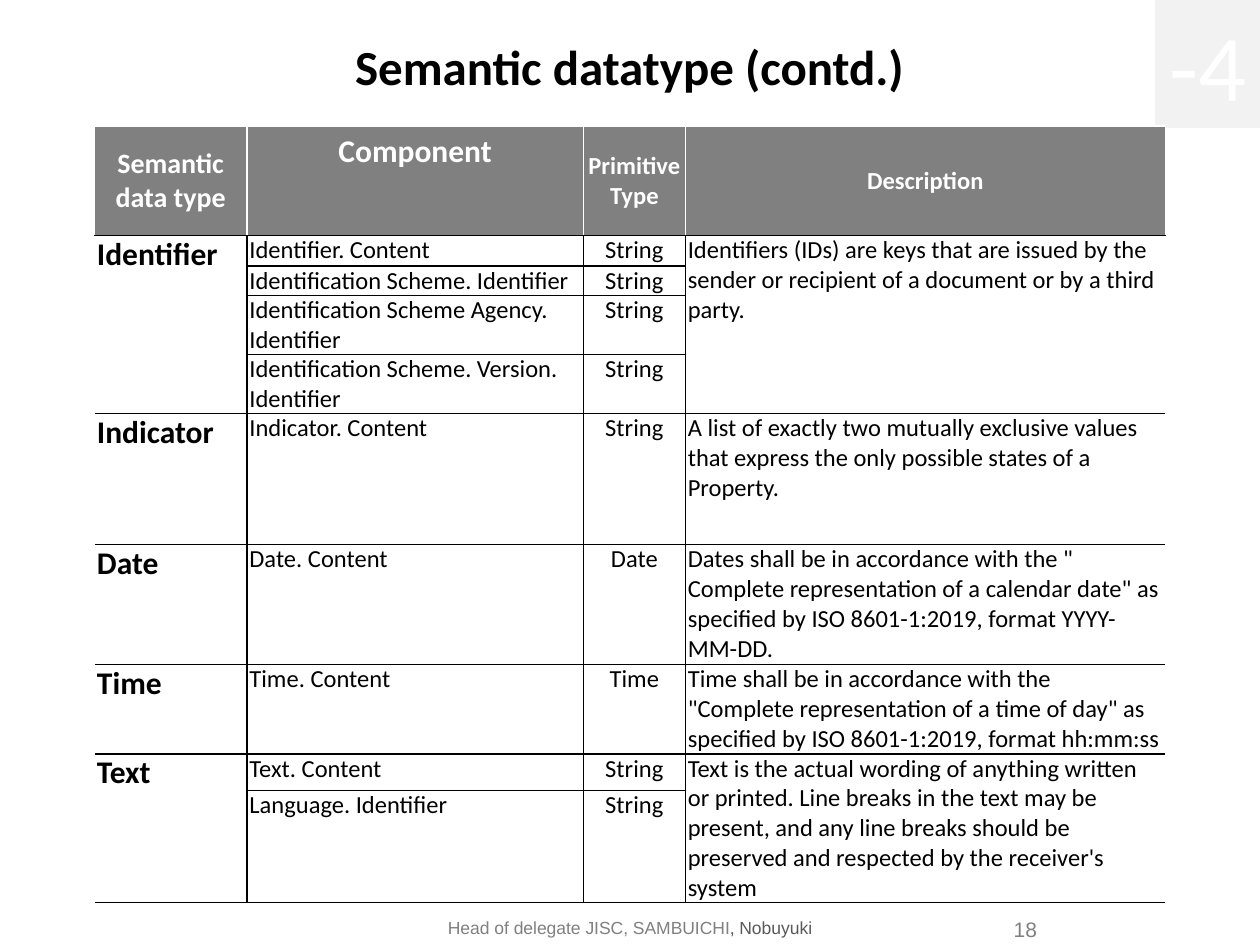
"""Build the slide listing semantic data types and their components."""
from lxml import etree
from pptx import Presentation
from pptx.dml.color import RGBColor
from pptx.enum import shapes, text
from pptx.oxml import ns
from pptx.util import Inches, Pt

BLACK = RGBColor(0, 0, 0)
WHITE = RGBColor(255, 255, 255)
GRAY = RGBColor(0x80, 0x80, 0x80)
DARK_GRAY = RGBColor(0x59, 0x59, 0x59)
PALE_GRAY = RGBColor(0xF2, 0xF2, 0xF2)
LEFT, CENTER, RIGHT = text.PP_ALIGN.LEFT, text.PP_ALIGN.CENTER, text.PP_ALIGN.RIGHT
TOP, MIDDLE, BOTTOM = (text.MSO_ANCHOR.TOP, text.MSO_ANCHOR.MIDDLE,
                       text.MSO_ANCHOR.BOTTOM)

HEADERS = [("Semantic data type", 16, MIDDLE), ("Component", 18, TOP),
           ("Primitive Type", 14, MIDDLE), ("Description", 14, MIDDLE)]
DATATYPES = [
    ("Identifier",
     [("Identifier. Content", "String"),
      ("Identification Scheme. Identifier", "String"),
      ("Identification Scheme Agency. Identifier", "String"),
      ("Identification Scheme. Version. Identifier", "String")],
     "Identifiers (IDs) are keys that are issued by the sender or recipient "
     "of a document or by a third party."),
    ("Indicator", [("Indicator. Content", "String")],
     "A list of exactly two mutually exclusive values that express the only "
     "possible states of a Property."),
    ("Date", [("Date. Content", "Date")],
     'Dates shall be in accordance with the " Complete representation of a '
     'calendar date" as specified by ISO 8601-1:2019, format YYYY-MM-DD.'),
    ("Time", [("Time. Content", "Time")],
     'Time shall be in accordance with the "Complete representation of a '
     'time of day" as specified by ISO 8601-1:2019, format hh:mm:ss'),
    ("Text", [("Text. Content", "String"), ("Language. Identifier", "String")],
     "Text is the actual wording of anything written or printed. Line breaks "
     "in the text may be present, and any line breaks should be preserved "
     "and respected by the receiver's system"),
]
COLUMN_WIDTHS = [1.21, 2.67, 0.81, 3.81]
ROW_HEIGHTS = [0.87, 0.24, 0.23, 0.47, 0.47, 1.04, 0.95, 0.71, 0.29, 0.89]


def add_span(para, words, size, color, font="Calibri", bold=False):
    span = para.add_run()
    span.text = words
    span.font.name, span.font.size, span.font.bold = font, Pt(size), bold
    span.font.color.rgb = color


def set_margins(target, left, top, right, bottom):
    target.margin_left, target.margin_top = Inches(left), Inches(top)
    target.margin_right, target.margin_bottom = Inches(right), Inches(bottom)


def set_frame(frame, align, anchor, margins):
    frame.word_wrap = True
    frame.vertical_anchor = anchor
    set_margins(frame, *margins)
    frame.paragraphs[0].alignment = align
    return frame.paragraphs[0]


def add_label(page, place, align, anchor, margins=(0, 0, 0, 0)):
    box = page.shapes.add_textbox(*map(Inches, place))
    return set_frame(box.text_frame, align, anchor, margins)


def set_borders(cell, colors):
    properties = cell._tc.get_or_add_tcPr()
    for side, color in zip("LRTB", colors):
        line = etree.SubElement(properties, ns.qn("a:ln" + side), w=str(Pt(1)))
        if color is None:
            etree.SubElement(line, ns.qn("a:noFill"))
        else:
            fill = etree.SubElement(line, ns.qn("a:solidFill"))
            etree.SubElement(fill, ns.qn("a:srgbClr"), val=str(color))


def style_cell(cell, borders, fill):
    set_borders(cell, borders)
    cell.fill.solid()
    cell.fill.fore_color.rgb = fill


def write_cell(cell, words, size, color, align=LEFT, anchor=TOP, bold=False,
               margins=(0.02, 0, 0.02, 0)):
    set_margins(cell, *margins)
    cell.vertical_anchor = anchor
    para = cell.text_frame.paragraphs[0]
    para.alignment = align
    add_span(para, words, size, color, bold=bold)


def add_datatype_table(page):
    table = page.shapes.add_table(
        len(ROW_HEIGHTS), len(COLUMN_WIDTHS), Inches(0.75), Inches(1),
        Inches(sum(COLUMN_WIDTHS)), Inches(sum(ROW_HEIGHTS))).table
    table.first_row = table.horz_banding = False
    for column, width in zip(table.columns, COLUMN_WIDTHS):
        column.width = Inches(width)
    for row, height in zip(table.rows, ROW_HEIGHTS):
        row.height = Inches(height)

    for index, (words, size, anchor) in enumerate(HEADERS):
        cell = table.cell(0, index)
        margins = (0.1, 0.05, 0.1, 0.05) if anchor == TOP else (0.01, 0, 0.01, 0)
        write_cell(cell, words, size, WHITE, CENTER, anchor, True, margins)
        style_cell(cell, (WHITE, WHITE, WHITE, BLACK), GRAY)

    first = 1
    last_column = len(COLUMN_WIDTHS) - 1
    for name, components, description in DATATYPES:
        last = first + len(components) - 1
        for row in range(first, last + 1):
            for column in range(last_column + 1):
                outer = column in (0, last_column)
                covered = outer and row > first
                style_cell(table.cell(row, column), (
                    BLACK if column > 0 else None,
                    BLACK if column < last_column else None,
                    None if covered else BLACK,
                    None if covered and row < last else BLACK), WHITE)
        for column in (0, last_column):
            if last > first:
                table.cell(first, column).merge(table.cell(last, column))
        write_cell(table.cell(first, 0), name, 18, BLACK, bold=True)
        write_cell(table.cell(first, last_column), description, 14, BLACK)
        for row, (component, primitive) in enumerate(components, first):
            write_cell(table.cell(row, 1), component, 14, BLACK)
            write_cell(table.cell(row, 2), primitive, 14, BLACK, CENTER)
        first = last + 1


def main():
    deck = Presentation()
    deck.slide_width, deck.slide_height = Inches(10), Inches(7.5)
    page = deck.slides.add_slide(deck.slide_layouts[6])

    number = add_label(page, (7.68, 7.19, 0.55, 0.31), RIGHT, TOP, (0.08, 0.08, 0, 0))
    add_span(number, "18", 12, GRAY, "Arial")
    footer = add_label(page, (2.6, 7.23, 4.8, 0.27), CENTER, MIDDLE)
    add_span(footer, "Head of delegate JISC, SAMBUICHI", 10, GRAY, "Arial")
    add_span(footer, ", Nobuyuki", 10, DARK_GRAY, "Arial")

    corner = page.shapes.add_shape(shapes.MSO_SHAPE.RECTANGLE, Inches(9.17), 0,
                                   Inches(0.83), Inches(1.01))
    corner.shadow.inherit = False
    corner.fill.solid()
    corner.fill.fore_color.rgb = corner.line.color.rgb = PALE_GRAY
    corner.line.width = Pt(0.75)
    mark = set_frame(corner.text_frame, CENTER, MIDDLE, (0, 0, 0, 0))
    add_span(mark, "-4", 54, WHITE)

    title = add_label(page, (0.98, 0, 8.03, 0.76), CENTER, BOTTOM)
    add_span(title, "Semantic datatype (contd.)", 28, BLACK, bold=True)
    add_datatype_table(page)
    deck.save("out.pptx")


if __name__ == "__main__":
    main()
